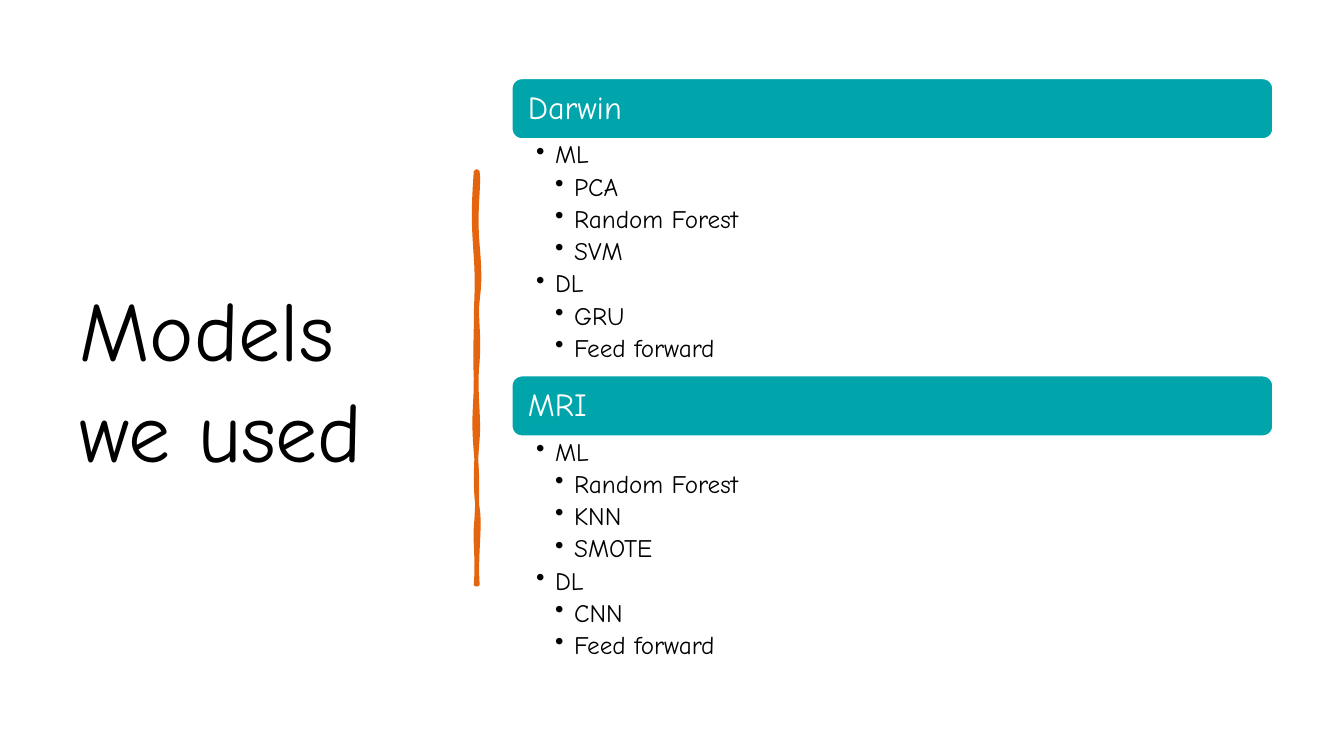
from dataclasses import dataclass

from lxml.etree import SubElement
from pptx import Presentation
from pptx.dml.color import RGBColor
from pptx.enum.shapes import MSO_SHAPE
from pptx.enum.text import MSO_ANCHOR, PP_ALIGN
from pptx.oxml.ns import qn
from pptx.util import Cm, Pt

FONT = "Comic Neue"
COLORS = {"text": "000000", "bar": "00A5AB", "white": "FFFFFF", "brush": "E4650E"}

# Section grid, in centimetres
SECTION_LEFT, SECTION_TOP, SECTION_WIDTH = 12.9, 1.98, 19.18
BAR_HEIGHT, LIST_HEIGHT = 1.52, 5.95
SECTION_PITCH = BAR_HEIGHT + LIST_HEIGHT + 0.02
BULLET_INDENT = 0.48


@dataclass
class Section:
    heading: str
    groups: dict[str, list[str]]


@dataclass
class Curve:
    first: tuple[float, float]
    second: tuple[float, float]
    end: tuple[float, float]


SECTIONS = [
    Section("Darwin", {"ML": ["PCA", "Random Forest", "SVM"],
                       "DL": ["GRU", "Feed forward"]}),
    Section("MRI", {"ML": ["Random Forest", "KNN", "SMOTE"],
                    "DL": ["CNN", "Feed forward"]}),
]

# Wavy edges of the brush stroke, in centimetres
BRUSH_RIGHT = [
    Curve((12.09, 4.72), (11.96, 5.26), (12.04, 6.17)),
    Curve((12.12, 7.09), (12.07, 7.24), (12.04, 7.59)),
    Curve((11.99, 7.95), (12.09, 8.41), (12.04, 9.12)),
    Curve((11.96, 9.83), (12.09, 10.49), (12.04, 11.07)),
    Curve((11.99, 11.63), (11.96, 12.32), (12.04, 12.8)),
    Curve((12.12, 13.28), (11.99, 13.92), (12.04, 14.73)),
]
BRUSH_LEFT = [
    Curve((12.04, 14.07), (11.96, 13.61), (11.99, 13.31)),
    Curve((12.01, 13.03), (12.07, 12.27), (11.99, 11.38)),
    Curve((11.91, 10.49), (11.99, 10.31), (11.99, 9.53)),
    Curve((11.96, 8.76), (11.99, 8.66), (11.99, 8.1)),
    Curve((11.99, 7.57), (12.04, 7.24), (11.99, 6.48)),
    Curve((11.94, 5.74), (11.91, 5.38), (11.99, 4.32)),
]


def color(name: str) -> RGBColor:
    return RGBColor.from_string(COLORS[name])


def paint(shape, fill: str, line: str, width: float) -> None:
    shape.shadow.inherit = False
    shape.fill.solid()
    shape.fill.fore_color.rgb = color(fill)
    shape.line.color.rgb = color(line)
    shape.line.width = Pt(width)


def set_frame(frame, anchor: MSO_ANCHOR, left: float, top: float, right: float) -> None:
    frame.word_wrap = True
    frame.vertical_anchor = anchor
    frame.margin_left, frame.margin_right = Cm(left), Cm(right)
    frame.margin_top = frame.margin_bottom = Cm(top)


def write(para, text: str, *, size: float, ink: str = "text", spacing: float = 0.9,
          after: float = 0, level: int = 0) -> None:
    para.alignment = PP_ALIGN.LEFT
    para.line_spacing = spacing
    para.space_after = Pt(after)
    if level:
        para.level = level
        properties = para._p.get_or_add_pPr()
        properties.set("marL", str(Cm(BULLET_INDENT * level)))
        properties.set("indent", str(-Cm(BULLET_INDENT)))
        SubElement(properties, qn("a:buChar")).set("char", "•")
    span = para.add_run()
    span.text = text
    span.font.name = FONT
    span.font.size = Pt(size)
    span.font.color.rgb = color(ink)


def curve_points(start: tuple[float, float], curves: list[Curve],
                 steps: int = 10) -> list[tuple[int, int]]:
    points = [(Cm(start[0]), Cm(start[1]))]
    for curve in curves:
        for step in range(1, steps + 1):
            t = step / steps
            u = 1 - t
            x, y = (u**3 * a + 3 * u * u * t * b + 3 * u * t * t * c + t**3 * d
                    for a, b, c, d in zip(start, curve.first, curve.second, curve.end))
            points.append((Cm(x), Cm(y)))
        start = curve.end
    return points


def draw_brush(page) -> None:
    outline = (curve_points((12.04, 4.32), BRUSH_RIGHT)
               + curve_points((11.99, 14.73), BRUSH_LEFT))
    builder = page.shapes.build_freeform(*outline[0])
    builder.add_line_segments(outline[1:], close=True)
    paint(builder.convert_to_shape(), "brush", "brush", 2.75)


def draw_section(page, section: Section, top: float) -> None:
    # Heading bar
    bar = page.shapes.add_shape(MSO_SHAPE.ROUNDED_RECTANGLE, Cm(SECTION_LEFT), Cm(top),
                                Cm(SECTION_WIDTH), Cm(BAR_HEIGHT))
    paint(bar, "bar", "white", 1)
    set_frame(bar.text_frame, MSO_ANCHOR.MIDDLE, 0.33, 0.25, 0.33)
    write(bar.text_frame.paragraphs[0], section.heading, size=23, ink="white")

    # Bulleted models
    box = page.shapes.add_textbox(Cm(SECTION_LEFT), Cm(top + BAR_HEIGHT),
                                  Cm(SECTION_WIDTH), Cm(LIST_HEIGHT))
    frame = box.text_frame
    set_frame(frame, MSO_ANCHOR.TOP, 0.61, 0.08, 0.46)
    items = [(text, level) for group, models in section.groups.items()
             for text, level in [(group, 1), *((model, 2) for model in models)]]
    for index, (text, level) in enumerate(items):
        para = frame.add_paragraph() if index else frame.paragraphs[0]
        write(para, text, size=18, after=3.6, level=level)


def main() -> None:
    deck = Presentation()
    deck.slide_width, deck.slide_height = Cm(33.87), Cm(19.05)
    page = deck.slides.add_slide(deck.slide_layouts[6])

    # Title
    box = page.shapes.add_textbox(Cm(1.75), Cm(1.78), Cm(9.5), Cm(15.52))
    set_frame(box.text_frame, MSO_ANCHOR.MIDDLE, 0.25, 0.13, 0.25)
    write(box.text_frame.paragraphs[0], "Models we used", size=60, spacing=1.0)

    draw_brush(page)
    for index, section in enumerate(SECTIONS):
        draw_section(page, section, SECTION_TOP + index * SECTION_PITCH)

    deck.save("out.pptx")


if __name__ == "__main__":
    main()
